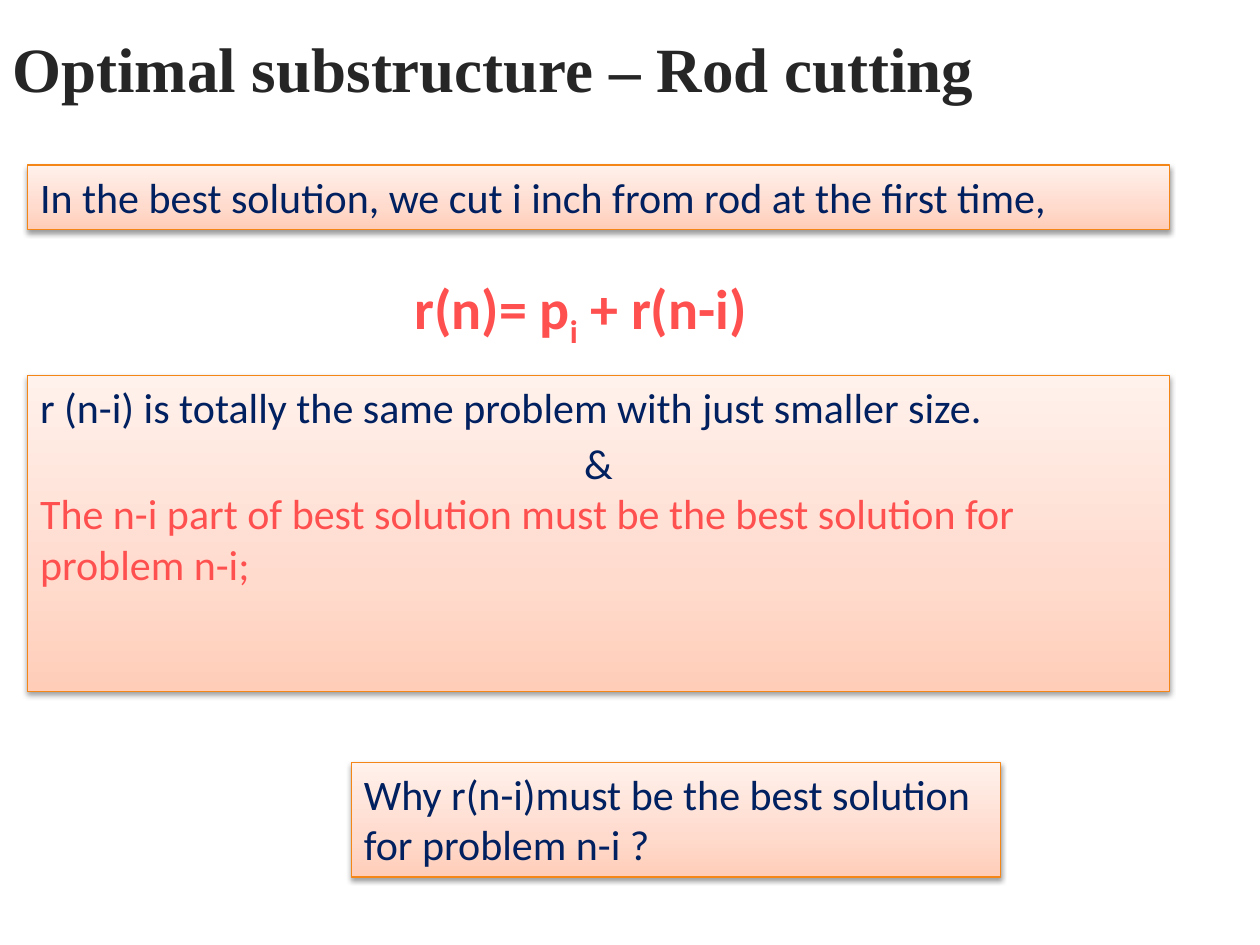
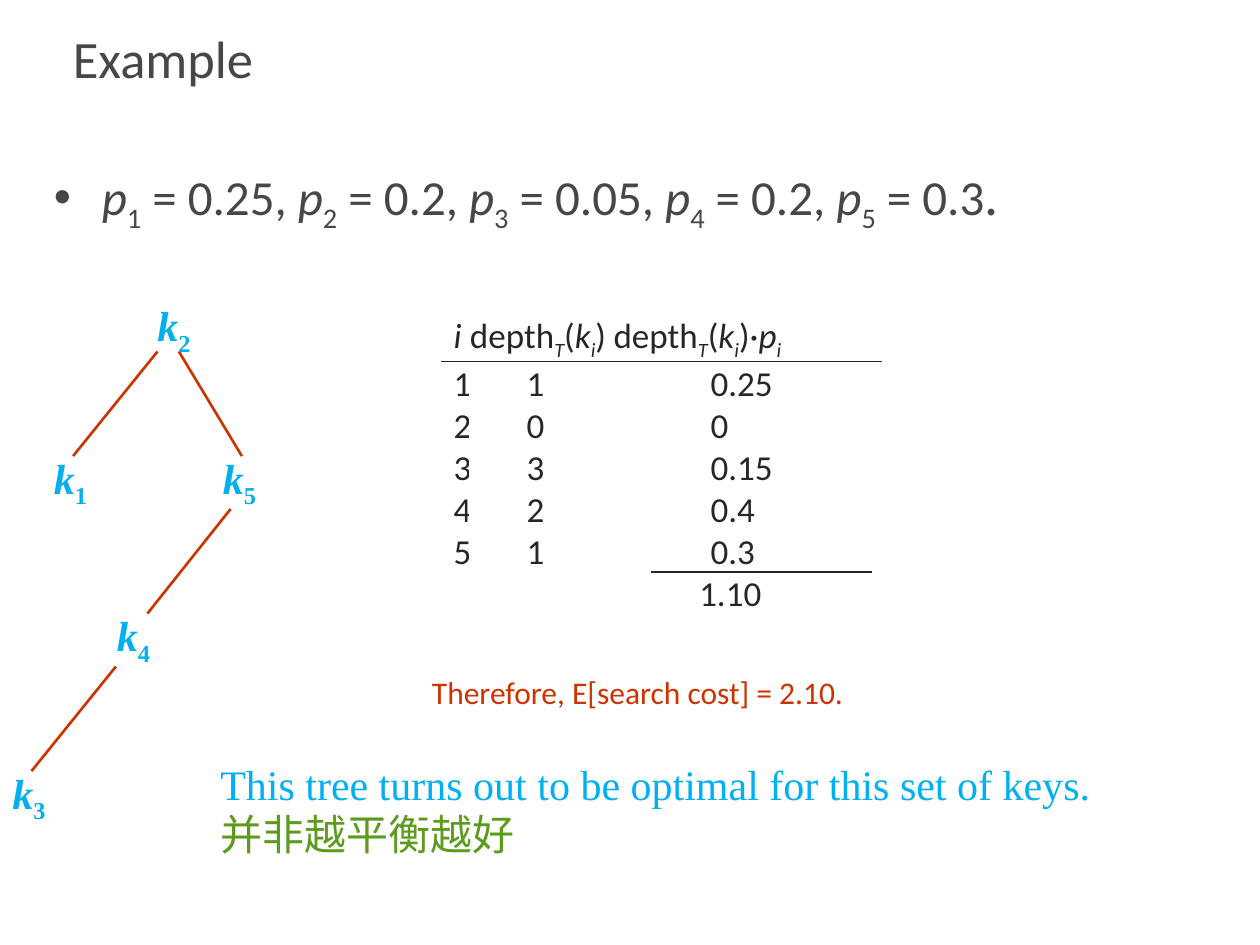
from copy import deepcopy
from lxml.etree import SubElement
from pptx import Presentation
from pptx.dml.color import RGBColor
from pptx.enum.shapes import MSO_CONNECTOR as CONNECTOR, MSO_SHAPE as SHAPE
from pptx.enum.text import MSO_ANCHOR as ANCHOR, PP_ALIGN as ALIGN
from pptx.oxml.ns import qn
from pptx.util import Inches, Pt

SANS, SERIF = "Calibri", "Times New Roman"
DARK, GRAY, NAVY = "262626", "474747", "002060"
CORAL, RUST, SKY, GREEN = "FF5050", "CC3300", "00B0F0", "5C9B1D"
ORANGE = "F48618"
PANEL_STOPS = [(0, "FFCDB8"), (0.35, "FFDBCD"), (1, "FFF1EC")]
color = RGBColor.from_string


def write(paragraph, text, size=24, font=SANS, ink=DARK, bold=False, align=ALIGN.LEFT):
    """Underscores toggle subscript and tildes toggle italic."""
    paragraph.alignment = align
    italic = subscript = False
    for piece in text.replace("_", "|_|").replace("~", "|~|").split("|"):
        if piece == "_":
            subscript = not subscript
        elif piece == "~":
            italic = not italic
        elif piece:
            run = paragraph.add_run()
            run.text = piece
            run.font.size = Pt(size)
            run.font.name = font
            run.font.bold = bold
            run.font.italic = italic
            run.font.color.rgb = color(ink)
            if subscript:
                run.font._element.set("baseline", "-25000")


def add_text(slide, box, text, anchor=ANCHOR.TOP, **style):
    shape = slide.shapes.add_textbox(*map(Inches, box))
    frame = shape.text_frame
    frame.word_wrap = True
    frame.vertical_anchor = anchor
    write(frame.paragraphs[0], text, **style)
    return frame


presentation = Presentation()
presentation.slide_width = Inches(10)
presentation.slide_height = Inches(7.5)
blank = presentation.slide_layouts[6]

slide = presentation.slides.add_slide(blank)
add_text(slide, (0, 0, 10, 1.07), "Optimal substructure – Rod cutting",
         anchor=ANCHOR.MIDDLE, size=36, font=SERIF, bold=True)
add_text(slide, (3.19, 2.12, 3.2, 0.63), "r(n)= p_i_ + r(n-i)",
         size=32, ink=CORAL, bold=True)

panels = [
    ((0.22, 1.31, 9.06, 0.51),
     [("In the best solution, we cut i inch from rod at the first time,", NAVY, ALIGN.LEFT)]),
    ((0.22, 2.98, 9.06, 2.51),
     [("r (n-i) is totally the same problem with just smaller size.", NAVY, ALIGN.LEFT),
      ("&", NAVY, ALIGN.CENTER),
      ("The n-i part of best solution must be the best solution for problem n-i;",
       CORAL, ALIGN.LEFT)]),
    ((2.79, 6.05, 5.15, 0.91),
     [("Why r(n-i)must be the best solution for problem n-i ?", NAVY, ALIGN.LEFT)]),
]
for box, lines in panels:
    panel = slide.shapes.add_shape(SHAPE.RECTANGLE, *map(Inches, box))
    panel.fill.gradient()
    panel.fill.gradient_angle = 90
    properties = panel._element.spPr
    stop_list = properties.find(".//" + qn("a:gsLst"))
    stop_list.append(deepcopy(stop_list[0]))
    for stop, (position, tint) in zip(panel.fill.gradient_stops, PANEL_STOPS):
        stop.position = position
        stop.color.rgb = color(tint)
    panel.line.color.rgb = color(ORANGE)
    panel.line.width = Pt(0.75)
    panel.shadow.inherit = False
    shadow = SubElement(properties.find(qn("a:effectLst")), qn("a:outerShdw"),
                        blurRad=str(Pt(3.1)), dist=str(Pt(1.6)), dir="5400000", rotWithShape="0")
    shade = SubElement(shadow, qn("a:srgbClr"), val="000000")
    SubElement(shade, qn("a:alpha"), val="38000")
    frame = panel.text_frame
    frame.word_wrap = True
    frame.vertical_anchor = ANCHOR.TOP
    for index, (text, ink, align) in enumerate(lines):
        paragraph = frame.add_paragraph() if index else frame.paragraphs[0]
        write(paragraph, text, ink=ink, align=align)
        if align == ALIGN.CENTER:
            paragraph.space_before = Pt(3)

slide = presentation.slides.add_slide(blank)
add_text(slide, (0.48, 0.08, 9.19, 0.75), "Example",
         anchor=ANCHOR.MIDDLE, size=30, ink=GRAY)

probabilities = ["0.25", "0.2", "0.05", "0.2", "0.3"]
terms = [f"~p~_{index}_ = {value}" for index, value in enumerate(probabilities, 1)]
frame = add_text(slide, (0.33, 1.22, 9, 1.12), ", ".join(terms), size=28, ink=GRAY)
bullet_line = frame.paragraphs[0]
write(bullet_line, ".", size=32, ink=GRAY)
bullet_properties = bullet_line._p.get_or_add_pPr()
bullet_properties.set("marL", str(Inches(0.38)))
bullet_properties.set("indent", str(Inches(-0.38)))
SubElement(bullet_properties, qn("a:buFont"), typeface="Arial")
SubElement(bullet_properties, qn("a:buChar"), char="•")

depth_rows = [
    ("~i~", "depth_~T~_(~k_i_~)", "depth_~T~_(~k_i_~)·~p_i_~"),
    ("1", "1", "0.25"),
    ("2", "0", "0"),
    ("3", "3", "0.15"),
    ("4", "2", "0.4"),
    ("5", "1", "0.3"),
    ("", "", "1.10"),
]
header_margins, body_margins, total_margins = (0.1, 0, 0), (0.1, 0.45, 0.77), (0.1, 0.45, 0.68)
row_margins = [header_margins] + [body_margins] * 5 + [total_margins]
table = slide.shapes.add_table(7, 3, Inches(3.5), Inches(2.5), Inches(5), Inches(2.38)).table
table.first_row = table.horz_banding = False
for column, width in zip(table.columns, (0.23, 1.14, 3.63)):
    column.width = Inches(width)
for row_index, (row, texts, margins) in enumerate(zip(table.rows, depth_rows, row_margins)):
    row.height = Inches(0.33 if row_index else 0.38)
    for cell, text, margin in zip(row.cells, texts, margins):
        cell.fill.background()
        cell.margin_left = Inches(margin)
        cell.margin_right = cell.margin_top = cell.margin_bottom = 0
        write(cell.text_frame.paragraphs[0], text, size=20)

add_text(slide, (3.33, 5.29, 4.6, 0.5), "Therefore, E[search cost] = 2.10.", size=18, ink=RUST)

table_rules = [(3.5, 2.87, 7, 2.87), (5.17, 4.54, 6.92, 4.54)]
tree_edges = [
    (1.25, 2.79, 0.58, 3.62),
    (1.42, 2.79, 1.92, 3.62),
    (1.83, 4.04, 1.17, 4.87),
    (0.92, 5.29, 0.25, 6.12),
]
for segments, ink, width in [(table_rules, DARK, 1), (tree_edges, RUST, 1.5)]:
    for ends in segments:
        line = slide.shapes.add_connector(CONNECTOR.STRAIGHT, *map(Inches, ends))
        line.line.color.rgb = color(ink)
        line.line.width = Pt(width)
        SubElement(line._element.spPr, qn("a:effectLst"))

tree_keys = [(2, 1.15, 2.33), (1, 0.33, 3.54), (5, 1.67, 3.54), (4, 0.83, 4.79), (3, 0, 6.04)]
for key, left, top in tree_keys:
    add_text(slide, (left, top, 0.52, 0.5), f"~k~_{key}_", font=SERIF, ink=SKY, bold=True)

frame = add_text(slide, (1.65, 5.97, 7.5, 0.91),
                 "This tree turns out to be optimal for this set of keys.", font=SERIF, ink=SKY)
write(frame.add_paragraph(), "并非越平衡越好", font=SERIF, ink=GREEN)

presentation.save("out.pptx")
